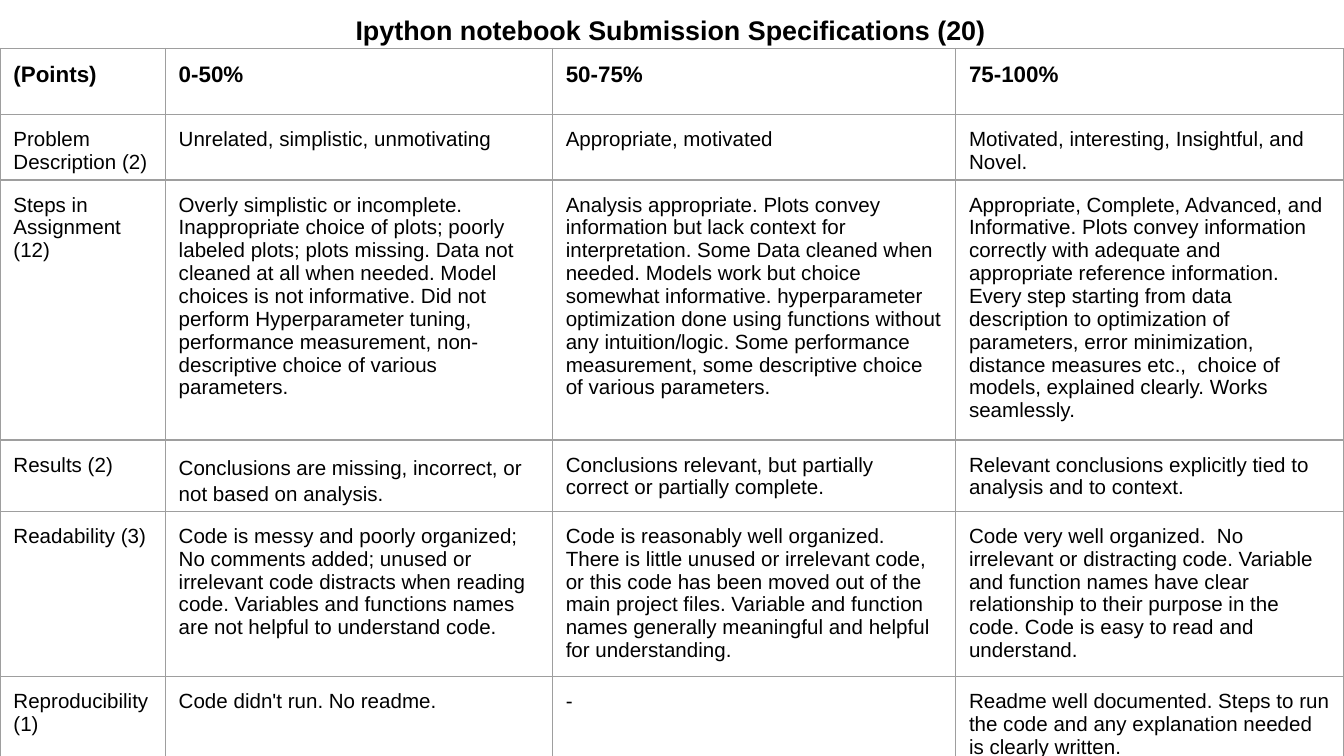
from lxml.etree import SubElement
from pptx import Presentation
from pptx.dml.color import RGBColor
from pptx.enum.text import MSO_ANCHOR as Anchor, PP_ALIGN as Align
from pptx.oxml.ns import qn
from pptx.util import Inches, Pt

TITLE = "Ipython notebook Submission Specifications (20)"
RUBRIC = [
    ("(Points)", "0-50%", "50-75%", "75-100%"),
    ("Problem Description (2)",
     "Unrelated, simplistic, unmotivating",
     "Appropriate, motivated",
     "Motivated, interesting, Insightful, and Novel."),
    ("Steps in Assignment (12)",
     "Overly simplistic or incomplete. Inappropriate choice of plots; poorly labeled plots; "
     "plots missing. Data not cleaned at all when needed. Model choices is not informative. "
     "Did not perform Hyperparameter tuning, performance measurement, non-descriptive choice "
     "of various parameters.",
     "Analysis appropriate. Plots convey information but lack context for interpretation. "
     "Some Data cleaned when needed. Models work but choice somewhat informative. "
     "hyperparameter optimization done using functions without any intuition/logic. "
     "Some performance measurement, some descriptive choice of various parameters.",
     "Appropriate, Complete, Advanced, and Informative. Plots convey information correctly "
     "with adequate and appropriate reference information. Every step starting from data "
     "description to optimization of parameters, error minimization, distance measures etc.,  "
     "choice of models, explained clearly. Works seamlessly."),
    ("Results (2)",
     "Conclusions are missing, incorrect, or not based on analysis. ",
     "Conclusions relevant, but partially correct or partially complete. ",
     "Relevant conclusions explicitly tied to analysis and to context. "),
    ("Readability (3)",
     "Code is messy and poorly organized; No comments added; unused or irrelevant code "
     "distracts when reading code. Variables and functions names are not helpful to "
     "understand code.",
     "Code is reasonably well organized.  There is little unused or irrelevant code, or this "
     "code has been moved out of the main project files. Variable and function names "
     "generally meaningful and helpful for understanding.",
     "Code very well organized.  No irrelevant or distracting code. Variable and function "
     "names have clear relationship to their purpose in the code. Code is easy to read and "
     "understand."),
    ("Reproducibility (1)",
     "Code didn't run. No readme.",
     "-",
     "Readme well documented. Steps to run the code and any explanation needed is clearly "
     "written."),
]
COLUMN_WIDTHS = [1.23, 2.88, 3, 2.89]
ROW_HEIGHTS = [0.49, 0.49, 0.76, 0.53, 1.23, 0.76]
TABLE_HEIGHT = 5.24
LOOSE_CELL = (3, 1)
INK, PAPER, RULE = "000000", "FFFFFF", "9E9E9E"


def color(value):
    """Turn a hex string into a colour."""
    return RGBColor.from_string(value)


def write(frame, text, size=11, bold=False, align=Align.LEFT, spacing=None, after=None):
    """Put one formatted paragraph into a text frame."""
    frame.word_wrap = True
    para = frame.paragraphs[0]
    para.alignment = align
    if spacing:
        para.line_spacing = spacing
    if after:
        para.space_after = Pt(after)
    span = para.add_run()
    span.text = text
    span.font.name, span.font.size, span.font.bold = "Arial", Pt(size), bold
    span.font.color.rgb = color(INK)


def set_margins(target, bottom):
    """Set equal insets, apart from the bottom one."""
    target.margin_left = target.margin_right = target.margin_top = Inches(0.1)
    target.margin_bottom = Inches(bottom)


def style_cell(cell):
    """Give a cell its insets, fill and four thin borders."""
    set_margins(cell, 0)
    cell.vertical_anchor = Anchor.TOP
    props = cell._tc.get_or_add_tcPr()
    for side in ("lnL", "lnR", "lnT", "lnB"):
        line = SubElement(props, qn(f"a:{side}"), w=str(Pt(0.75)))
        SubElement(SubElement(line, qn("a:solidFill")), qn("a:srgbClr"), val=RULE)
    cell.fill.solid()
    cell.fill.fore_color.rgb = color(PAPER)


def add_rubric(page):
    """Build the grading table, whose longest row grows with its text."""
    frame = page.shapes.add_table(
        len(RUBRIC), len(COLUMN_WIDTHS), Inches(0), Inches(0.36),
        Inches(sum(COLUMN_WIDTHS)), Inches(TABLE_HEIGHT))
    table = frame.table
    table.first_row = table.horz_banding = False
    for column, width in zip(table.columns, COLUMN_WIDTHS):
        column.width = Inches(width)
    for r, (row, height) in enumerate(zip(table.rows, ROW_HEIGHTS)):
        row.height = Inches(height)
        look = dict(size=12, bold=True) if r == 0 else {}
        for c, text in enumerate(RUBRIC[r]):
            cell = table.cell(r, c)
            style_cell(cell)
            loose = dict(spacing=1.15, after=16) if (r, c) == LOOSE_CELL else {}
            write(cell.text_frame, text, **look, **loose)
    frame.height = Inches(TABLE_HEIGHT)


deck = Presentation()
deck.slide_width = Inches(10)
deck.slide_height = deck.slide_width * 9 // 16
page = deck.slides.add_slide(deck.slide_layouts[6])
box = page.shapes.add_textbox(Inches(0.33), Inches(0), Inches(9.32), Inches(0.37))
set_margins(box.text_frame, 0.1)
write(box.text_frame, TITLE, size=14.4, bold=True, align=Align.CENTER)
add_rubric(page)
deck.save("out.pptx")
